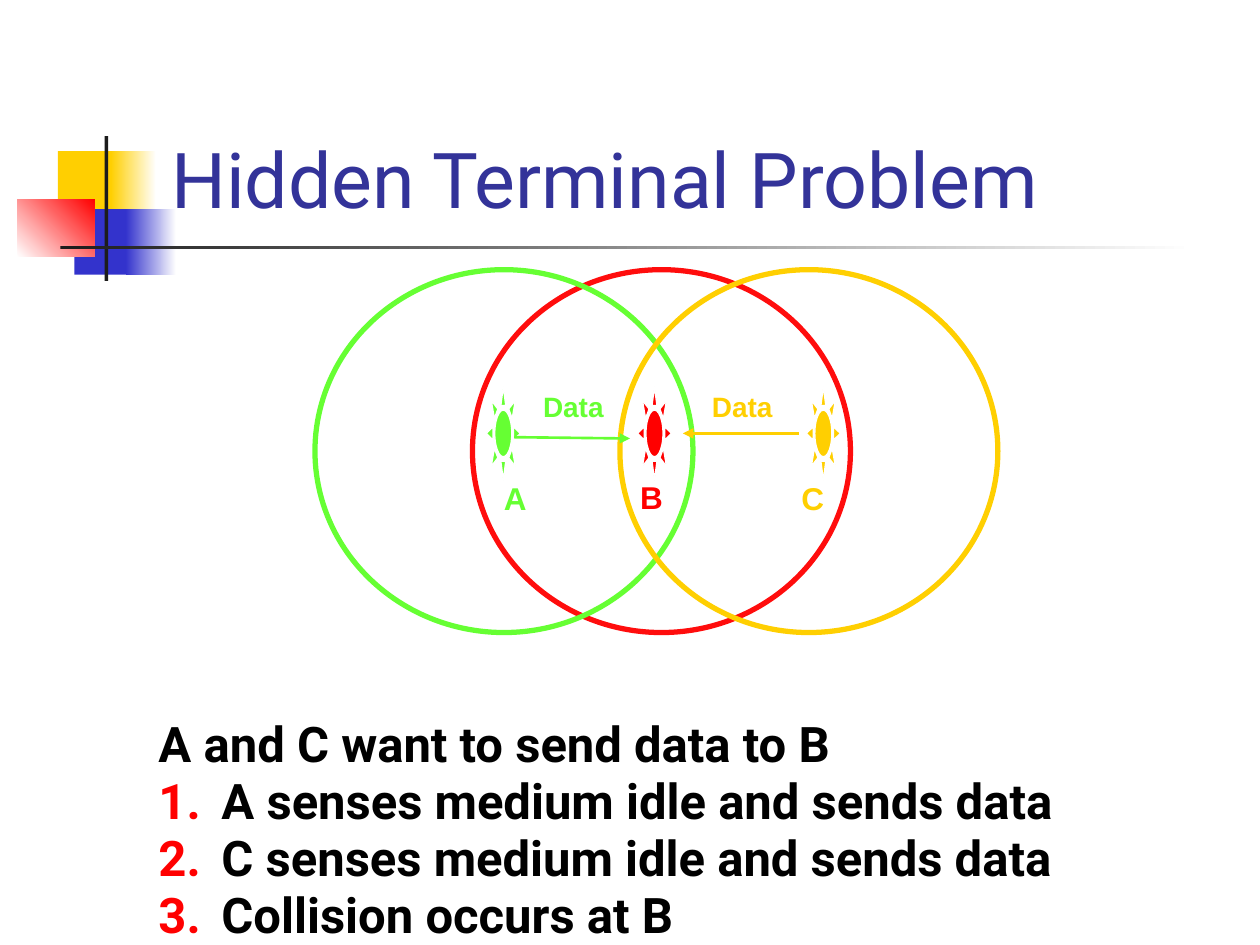
from pptx import Presentation
from pptx.dml.color import RGBColor
from pptx.enum.shapes import MSO_CONNECTOR, MSO_SHAPE
from pptx.enum.text import MSO_ANCHOR, PP_ALIGN
from pptx.oxml.ns import qn
from pptx.util import Inches, Pt
from lxml.etree import SubElement

GOLD, BLUE, DARK, WHITE = "FFCF01", "3333CC", "1C1C1C", "FFFFFF"
GREEN, RED = "66FF33", "FF0000"


def paint(color, value):
    color.rgb = RGBColor.from_string(value)


def fill_solid(fill, value):
    fill.solid()
    paint(fill.fore_color, value)


def fill_fade(fill, start, end, angle=0):
    fill.gradient()
    fill.gradient_angle = angle
    for stop, value in zip(fill.gradient_stops, (start, end)):
        paint(stop.color, value)


def add_form(slide, kind, box, line=None, width=1):
    form = slide.shapes.add_shape(kind, *map(Inches, box))
    form.shadow.inherit = False
    if line:
        fill_solid(form.line.fill, line)
        form.line.width = Pt(width)
    else:
        form.line.fill.background()
    return form


def add_block(slide, box, color):
    fill_solid(add_form(slide, MSO_SHAPE.RECTANGLE, box).fill, color)


def add_fade(slide, box, start, end, angle=0):
    fill_fade(add_form(slide, MSO_SHAPE.RECTANGLE, box).fill, start, end, angle)


def add_range(slide, left, color):
    ring = add_form(slide, MSO_SHAPE.OVAL, (left, 2.14, 3, 2.88), color, 3)
    ring.fill.background()


def add_node(slide, left, color):
    sun = add_form(slide, MSO_SHAPE.SUN, (left, 3.07, 0.27, 0.74), WHITE, 0.75)
    sun.adjustments[0] = 0.25
    fill_solid(sun.fill, color)


def add_arrow(slide, start, end, color):
    points = map(Inches, start + end)
    arrow = slide.shapes.add_connector(MSO_CONNECTOR.STRAIGHT, *points)
    fill_solid(arrow.line.fill, color)
    arrow.line.width = Pt(1.5)
    props = arrow.element.spPr
    SubElement(props.find(qn("a:ln")), qn("a:tailEnd"), type="triangle")
    SubElement(props, qn("a:effectLst"))


def add_frame(slide, box, anchor, wrap=True):
    frame = slide.shapes.add_textbox(*map(Inches, box)).text_frame
    frame.word_wrap = wrap
    frame.vertical_anchor = anchor
    return frame


def write(para, text, color, **style):
    run = para.add_run()
    run.text = text
    paint(run.font.color, color)
    for key, value in style.items():
        setattr(run.font, key, value)


def add_label(slide, text, box, color, size):
    frame = add_frame(slide, box, MSO_ANCHOR.MIDDLE, False)
    para = frame.paragraphs[0]
    para.alignment = PP_ALIGN.CENTER
    write(para, text, color, name="Arial", size=Pt(size), bold=True)


def number(para):
    props = para._p.get_or_add_pPr()
    props.set("marL", str(Inches(1)))
    props.set("indent", str(Inches(-0.5)))
    tint = SubElement(props, qn("a:buClr"))
    SubElement(tint, qn("a:srgbClr"), val=RED)
    SubElement(props, qn("a:buAutoNum"), type="arabicPeriod")


def add_steps(slide, lead, steps):
    frame = add_frame(slide, (0.66, 5.14, 9.34, 2.36), MSO_ANCHOR.TOP)
    frame.margin_top = Inches(0.52)
    for index, text in enumerate([lead] + steps):
        para = frame.add_paragraph() if index else frame.paragraphs[0]
        para.line_spacing = 0.8 if index else 1.0
        para.space_before = Pt(5.6 if index else 0)
        if index:
            number(para)
        else:
            para._p.get_or_add_pPr().set("marL", str(Inches(0.5)))
        write(para, text, "000000", name="Roboto", size=Pt(28), bold=True)


def add_decor(slide):
    add_block(slide, (0.46, 1.2, 0.48, 0.52), GOLD)
    add_fade(slide, (0.88, 1.2, 0.36, 0.52), GOLD, WHITE)
    add_block(slide, (0.59, 1.66, 0.46, 0.52), BLUE)
    add_fade(slide, (1, 1.66, 0.4, 0.52), BLUE, WHITE)
    add_fade(slide, (0.14, 1.58, 0.61, 0.46), WHITE, RED, 45)
    add_block(slide, (0.83, 1.08, 0.03, 1.15), DARK)
    add_fade(slide, (0.48, 1.95, 9, 0.03), DARK, WHITE)


def main():
    deck = Presentation()
    deck.slide_width, deck.slide_height = Inches(10), Inches(7.5)
    slide = deck.slides.add_slide(deck.slide_layouts[6])

    # Corner blocks, rule and title
    add_decor(slide)
    title = add_frame(slide, (1.26, 0.23, 8.52, 1.6), MSO_ANCHOR.BOTTOM)
    write(title.paragraphs[0], "Hidden Terminal Problem", "333399",
          name="Roboto", size=Pt(44))

    # Numbered steps
    add_steps(slide, "A and C want to send data to B", [
        "A senses medium idle and sends data",
        "C senses medium idle and sends data",
        "Collision occurs at B",
    ])

    # Radio ranges
    for left, color in ((3.75, "FF0D0D"), (2.5, GREEN), (4.92, GOLD)):
        add_range(slide, left, color)

    # Terminals: name, label place, sun left, color
    for name, left, top, sun, color in (
        ("A", 3.9, 3.75, 3.86, GREEN),
        ("B", 4.98, 3.74, 5.06, RED),
        ("C", 6.26, 3.75, 6.4, GOLD),
    ):
        add_label(slide, name, (left, top, 0.38, 0.4), color, 18)
        add_node(slide, sun, color)

    # Data sent towards B
    for left, start, end, color in (
        (4.21, (4.08, 3.47), (5, 3.48), GREEN),
        (5.55, (6.34, 3.44), (5.42, 3.44), GOLD),
    ):
        add_arrow(slide, start, end, color)
        add_label(slide, "Data", (left, 3.04, 0.68, 0.37), color, 16)

    deck.save("out.pptx")


if __name__ == "__main__":
    main()
